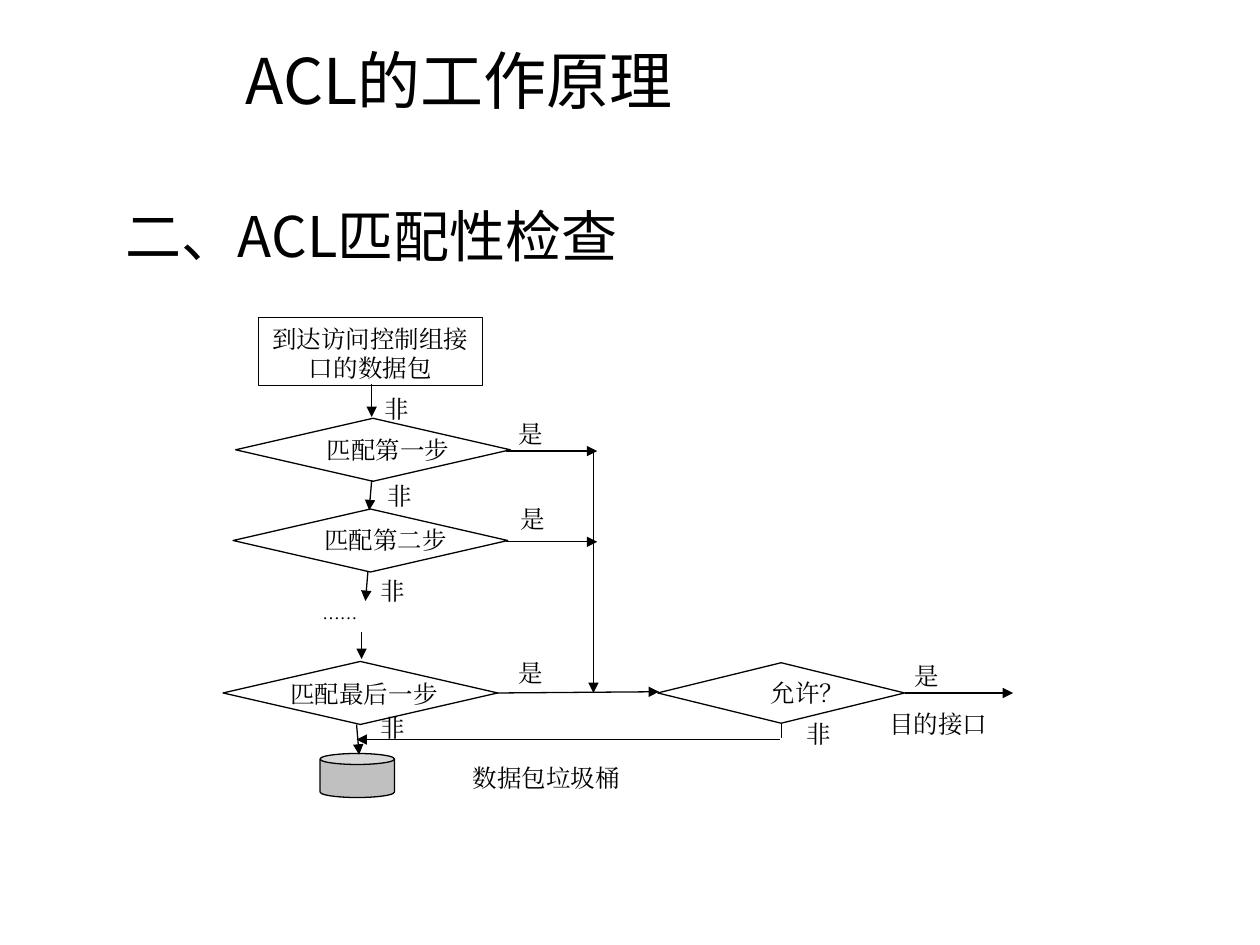
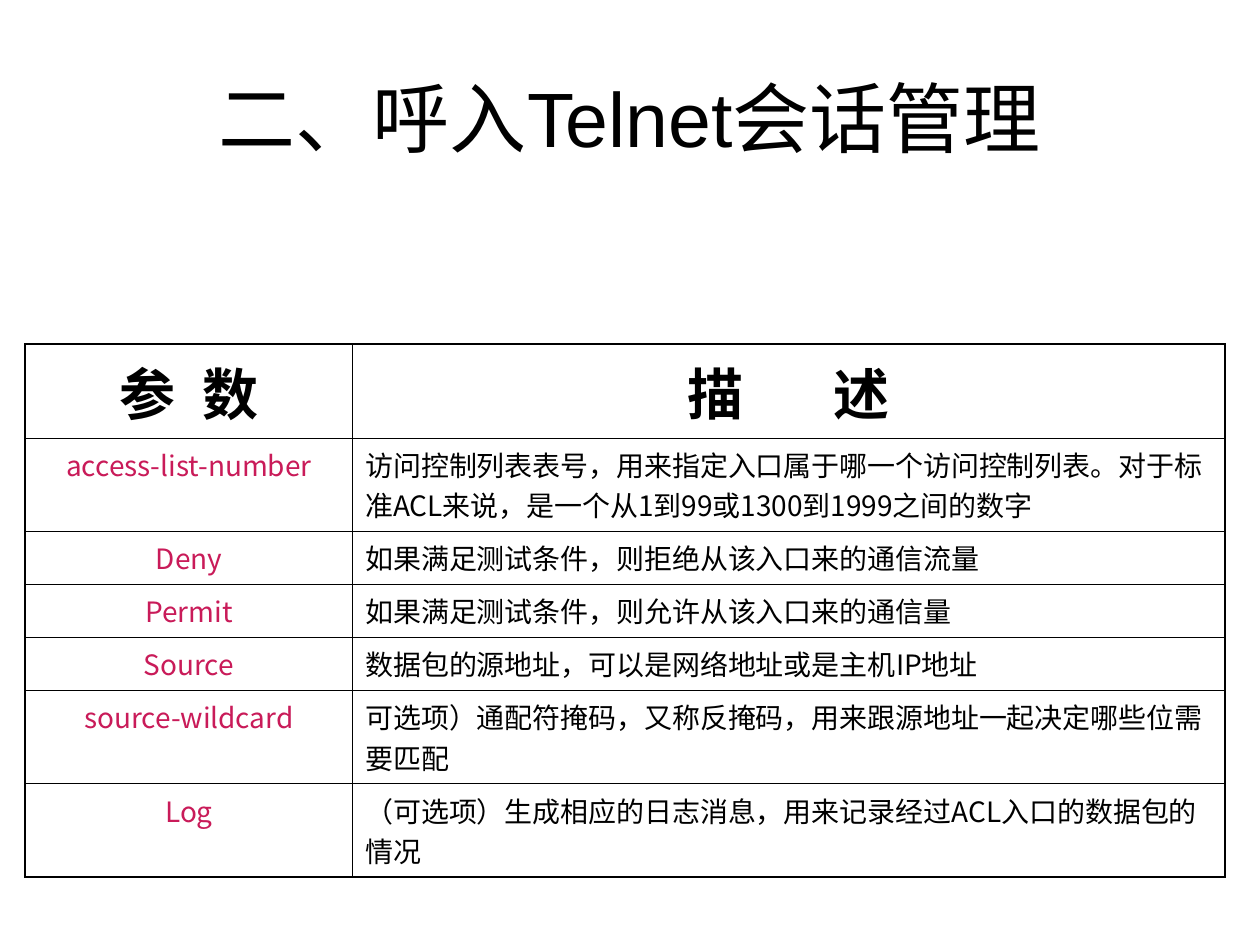
from typing import NamedTuple

from lxml.etree import SubElement
from pptx import Presentation
from pptx.dml.color import RGBColor
from pptx.enum.shapes import MSO_CONNECTOR, MSO_SHAPE as SHAPE
from pptx.enum.text import MSO_ANCHOR as ANCHOR, MSO_AUTO_SIZE, PP_ALIGN as ALIGN
from pptx.oxml.ns import qn
from pptx.util import Inches, Pt

COLS, ROWS = 100, 75
UNIT = Inches(0.1)
BLACK, WHITE, GREY, PINK = "000000", "FFFFFF", "C0C0C0", "C91B59"
SERIF, SANS, CJK = "Times New Roman", "Arial", "Noto Sans CJK SC"
THICK, THIN = 1.08, 0.45
TITLE_ONLY = 5


class Style(NamedTuple):
    font: str
    size: float
    color: str = BLACK
    align: ALIGN = ALIGN.LEFT
    bold: bool = False


class Box(NamedTuple):
    col: float
    row: float
    cols: float
    rows: float


class Node(NamedTuple):
    kind: SHAPE
    box: Box
    fill: str = WHITE


class Flow(NamedTuple):
    x1: float
    y1: float
    x2: float
    y2: float
    arrow: bool = True


class Label(NamedTuple):
    text: str
    box: Box
    style: Style


NOTE = Style(SERIF, 14)
STEP = NOTE._replace(align=ALIGN.CENTER)
DOTS = NOTE._replace(size=10)
HEADER = Style(CJK, 32, align=ALIGN.CENTER, bold=True)
NAME = Style(CJK, 16, PINK, ALIGN.CENTER)
DETAIL = Style(CJK, 16)

ENTRY = Box(20.5, 25.2, 17.8, 5.4)
DIAMOND = SHAPE.FLOWCHART_DECISION
NODES = [
    Node(SHAPE.RECTANGLE, ENTRY),
    Node(DIAMOND, Box(18.7, 33.2, 21.8, 5)),
    Node(DIAMOND, Box(18.5, 40.4, 21.8, 5)),
    Node(DIAMOND, Box(17.7, 52.5, 21.8, 5)),
    Node(DIAMOND, Box(52.2, 52.6, 19.6, 4.8)),
    Node(SHAPE.CAN, Box(25.4, 59.8, 5.9, 3.5), GREY),
]
FLOWS = [
    Flow(29.5, 30.5, 29.5, 33.1),
    Flow(29.5, 38.1, 29.3, 40.5),
    Flow(29.2, 45.4, 29, 47.7),
    Flow(28.7, 50.2, 28.7, 52.3),
    Flow(28.3, 57.5, 28.5, 59.9),
    Flow(40.2, 35.8, 47.4, 35.8),
    Flow(40.2, 43, 47.4, 43),
    Flow(47.1, 35.9, 47.1, 55),
    Flow(39.3, 55, 52.3, 54.9),
    Flow(71.8, 55, 80.4, 55),
    Flow(62, 57.4, 62, 58.6, arrow=False),
    Flow(61.9, 58.7, 28.3, 58.7),
]
YES = [(40.2, 32.8), (40.3, 39.5), (40.2, 51.7), (71.6, 52)]
NO = [(29.5, 30.8), (29.8, 37.7), (29.2, 45.2), (29.2, 56.1), (63, 56.6)]
LABELS = [
    Label("到达访问控制组接口的数据包", ENTRY, STEP),
    Label("匹配第一步", Box(23.1, 34, 15.4, 3.6), STEP),
    Label("匹配第二步", Box(22.9, 41.2, 15.4, 3.6), STEP),
    Label("……", Box(24.6, 47.3, 11.2, 3.6), DOTS),
    Label("匹配最后一步", Box(20.7, 53.4, 16.4, 3.6), STEP),
    Label("允许？", Box(57.6, 53.3, 13, 3.6), STEP),
    Label("数据包垃圾桶", Box(33.1, 60.1, 20.5, 4.1), STEP),
    Label("目的接口", Box(69.6, 55.8, 15.4, 3.2), NOTE),
    *(Label("是", Box(x, y, 7.3, 3.3), NOTE) for x, y in YES),
    *(Label("非", Box(x, y, 5.9, 2.8), NOTE) for x, y in NO),
]

TABLE = Box(2, 27.3, 95.2, 37.2)
COLUMN_COLS = (26, 69.2)
ROW_ROWS = (6.6, 6.6, 3.7, 3.7, 3.7, 6.5, 6.4)
HEADINGS = [("参 ", "数", 4), ("描 ", "述", 22)]
PARAMETERS = [
    ("access-list-number",
     "访问控制列表表号，用来指定入口属于哪一个访问控制列表。对于标准ACL来说，是一个从1到99或1300到1999之间的数字"),
    ("Deny", "如果满足测试条件，则拒绝从该入口来的通信流量"),
    ("Permit", "如果满足测试条件，则允许从该入口来的通信量"),
    ("Source", "数据包的源地址，可以是网络地址或是主机IP地址"),
    ("source-wildcard", "可选项）通配符掩码，又称反掩码，用来跟源地址一起决定哪些位需要匹配"),
    ("Log", "（可选项）生成相应的日志消息，用来记录经过ACL入口的数据包的情况"),
]


def grid(*units: float) -> list[int]:
    """Turn grid units into lengths."""
    return [round(u * UNIT) for u in units]


def paint(target, color: str) -> None:
    """Give a fill one solid colour."""
    target.solid()
    target.fore_color.rgb = RGBColor.from_string(color)


def write(tf, text: str, style: Style):
    """Write one styled paragraph and return it."""
    tf.word_wrap = True
    p = tf.paragraphs[0]
    p.text, p.alignment = text, style.align
    font = p.font
    font.name, font.size, font.bold = style.font, Pt(style.size), style.bold
    paint(font.fill, style.color)
    props = p._p.pPr.find(qn("a:defRPr"))
    SubElement(props, qn("a:ea")).set("typeface", style.font)
    return p


def add_title(s, text: str, style: Style, box: Box, anchor: ANCHOR) -> None:
    """Place and format the slide's title placeholder."""
    sp = s.shapes.title
    sp.left, sp.top, sp.width, sp.height = grid(*box)
    tf = sp.text_frame
    write(tf, text, style)
    tf.auto_size, tf.vertical_anchor = MSO_AUTO_SIZE.NONE, anchor


def add_label(shapes, label: Label) -> None:
    """Add a wrapped text box."""
    sp = shapes.add_textbox(*grid(*label.box))
    write(sp.text_frame, label.text, label.style)


def add_node(shapes, node: Node) -> None:
    """Add an outlined flowchart shape."""
    sp = shapes.add_shape(node.kind, *grid(*node.box))
    sp.shadow.inherit = False
    paint(sp.fill, node.fill)
    paint(sp.line.fill, BLACK)
    sp.line.width = Pt(0.75)


def add_flow(shapes, flow: Flow) -> None:
    """Add a straight line with an optional arrowhead."""
    ends = grid(flow.x1, flow.y1, flow.x2, flow.y2)
    line = shapes.add_connector(MSO_CONNECTOR.STRAIGHT, *ends)
    paint(line.line.fill, BLACK)
    line.line.width = Pt(0.75)
    props = line._element.spPr
    if flow.arrow:
        SubElement(props.find(qn("a:ln")), qn("a:tailEnd")).set("type", "triangle")
    SubElement(props, qn("a:effectLst"))


def add_borders(cell, outer: dict[str, bool]) -> None:
    """Draw thick outer and thin inner cell borders."""
    props = cell._tc.get_or_add_tcPr()
    for i, (side, thick) in enumerate(outer.items()):
        ln = SubElement(props, qn(f"a:ln{side}"), w=str(Pt(THICK if thick else THIN)))
        fill = SubElement(ln, qn("a:solidFill"))
        SubElement(fill, qn("a:srgbClr"), val=BLACK)
        props.insert(i, ln)


def add_parameter_table(s) -> None:
    """Add the table of parameters and descriptions."""
    n_rows, n_cols = len(ROW_ROWS), len(COLUMN_COLS)
    table = s.shapes.add_table(n_rows, n_cols, *grid(*TABLE)).table
    table.first_row = table.horz_banding = False
    for column, width in zip(table.columns, grid(*COLUMN_COLS)):
        column.width = width
    for row, height in zip(table.rows, grid(*ROW_ROWS)):
        row.height = height
    for c, (first, last, gap) in enumerate(HEADINGS):
        p = write(table.cell(0, c).text_frame, first, HEADER)
        p.runs[0]._r.get_or_add_rPr().set("spc", str(gap * 100))
        p.add_run().text = last
    for r, texts in enumerate(PARAMETERS, 1):
        for c, (text, style) in enumerate(zip(texts, (NAME, DETAIL))):
            write(table.cell(r, c).text_frame, text, style)
    for r in range(n_rows):
        for c in range(n_cols):
            cell = table.cell(r, c)
            cell.fill.background()
            add_borders(cell, {"L": c == 0, "R": c == n_cols - 1,
                               "T": r == 0, "B": r == n_rows - 1})


def build_matching(s) -> None:
    """Build the ACL matching flowchart slide."""
    add_title(s, "ACL的工作原理", Style(CJK, 36), Box(18.5, 2.8, 65.3, 7), ANCHOR.TOP)
    shapes = s.shapes.add_group_shape().shapes
    for node in NODES:
        add_node(shapes, node)
    for flow in FLOWS:
        add_flow(shapes, flow)
    for label in LABELS:
        add_label(shapes, label)
    add_label(s.shapes, Label("二、ACL匹配性检查", Box(9, 15.5, 45.7, 6.4), Style(CJK, 32)))


def build_telnet(s) -> None:
    """Build the Telnet session parameter slide."""
    add_title(s, "二、呼入Telnet会话管理", Style(SANS, 44, align=ALIGN.CENTER),
              Box(5, 3, 90, 12.5), ANCHOR.MIDDLE)
    add_parameter_table(s)


def main() -> None:
    """Build and save the presentation."""
    prs = Presentation()
    prs.slide_width, prs.slide_height = grid(COLS, ROWS)
    for build in (build_matching, build_telnet):
        build(prs.slides.add_slide(prs.slide_layouts[TITLE_ONLY]))
    prs.save("out.pptx")


if __name__ == "__main__":
    main()
